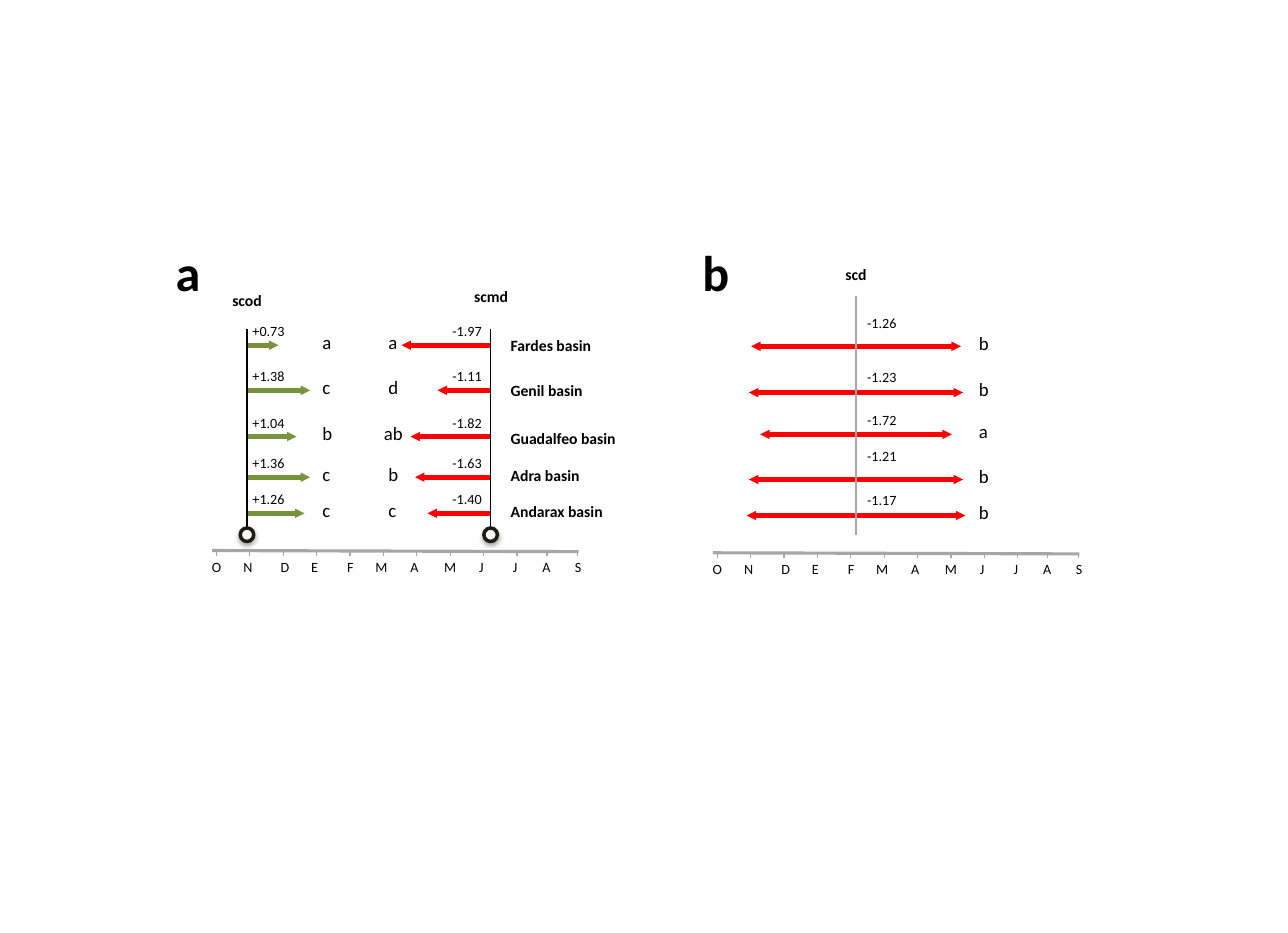
from lxml import etree
from pptx import Presentation
from pptx.dml.color import RGBColor
from pptx.enum.shapes import MSO_CONNECTOR, MSO_SHAPE
from pptx.enum.text import MSO_AUTO_SIZE, PP_ALIGN
from pptx.oxml.ns import qn
from pptx.util import Inches, Pt

STRAIGHT = MSO_CONNECTOR.STRAIGHT
OVAL = MSO_SHAPE.OVAL
GROW = MSO_AUTO_SIZE.SHAPE_TO_FIT_TEXT
LEFT, CENTER, RIGHT = PP_ALIGN.LEFT, PP_ALIGN.CENTER, PP_ALIGN.RIGHT

BLACK = RGBColor(0x00, 0x00, 0x00)
WHITE = RGBColor(0xFF, 0xFF, 0xFF)
RED = RGBColor(0xFF, 0x00, 0x00)
GREEN = RGBColor(0x77, 0x93, 0x3C)
GRAY = RGBColor(0xA6, 0xA6, 0xA6)
DARK = RGBColor(0x1E, 0x1C, 0x11)

ONSET, MELT, MIDDLE = 2.19, 4.35, 7.59
LETTER_RISE = 0.18
TICK_STEP = 0.296

ONSET_MELT_ROWS = [
    ("Fardes basin", 3.06, 2.93, "+0.73", 2.47, "a", "-1.97", 3.56, "a"),
    ("Genil basin", 3.46, 3.33, "+1.38", 2.75, "c", "-1.11", 3.88, "d"),
    ("Guadalfeo basin", 3.87, 3.75, "+1.04", 2.63, "b", "-1.82", 3.64, "ab"),
    ("Adra basin", 4.23, 4.08, "+1.36", 2.75, "c", "-1.63", 3.68, "b"),
    ("Andarax basin", 4.55, 4.40, "+1.26", 2.70, "c", "-1.40", 3.79, "c"),
]
DURATION_ROWS = [
    (3.07, 2.74, "-1.26", 0.93, "b"),
    (3.48, 3.22, "-1.23", 0.95, "b"),
    (3.85, 3.60, "-1.72", 0.85, "a"),
    (4.25, 3.92, "-1.21", 0.95, "b"),
    (4.57, 4.31, "-1.17", 0.97, "b"),
]
MONTHS = [
    ("O", 1.78, 0.29), ("N", 2.06, 0.29), ("D", 2.39, 0.28), ("E", 2.66, 0.26),
    ("F", 2.98, 0.26), ("M", 3.23, 0.31), ("A", 3.54, 0.27), ("M", 3.84, 0.31),
    ("J", 4.15, 0.24), ("J", 4.45, 0.24), ("A", 4.71, 0.27), ("S", 5.00, 0.26),
]
TICKS = [1.92 + TICK_STEP * month for month in range(10)] + [4.85, 5.12]


def add_text(panel, text, left, top, width, height, size,
             bold=False, align=LEFT, wrap=False):
    box = panel.shapes.add_textbox(Inches(left), Inches(top), Inches(width), Inches(height))
    frame = box.text_frame
    frame.word_wrap = wrap
    frame.auto_size = GROW
    paragraph = frame.paragraphs[0]
    paragraph.alignment = align
    run = paragraph.add_run()
    run.text = text
    run.font.name = "Calibri"
    run.font.size = Pt(size)
    run.font.bold = bold
    run.font.color.rgb = BLACK
    return box


def add_line(panel, start, end, color, weight, arrow_ends=()):
    line = panel.shapes.add_connector(
        STRAIGHT, Inches(start[0]), Inches(start[1]), Inches(end[0]), Inches(end[1]))
    line.line.color.rgb = color
    line.line.width = Pt(weight)
    for arrow_end in arrow_ends:
        etree.SubElement(line.line._get_or_add_ln(), qn(f"a:{arrow_end}"),
                         type="triangle", w="sm", len="sm")
    etree.SubElement(line._element.spPr, qn("a:effectLst"))


presentation = Presentation()
presentation.slide_width = Inches(11.42)
presentation.slide_height = Inches(8.27)
slide = presentation.slides.add_slide(presentation.slide_layouts[6])
panel_a = slide.shapes.add_group_shape()
panel_b = slide.shapes.add_group_shape()

for panel, letter, letter_left, shift, axis in [
    (panel_a, "a", 1.46, 0, 4.88),
    (panel_b, "b", 6.13, 4.44, 4.90),
]:
    add_text(panel, letter, letter_left, 2.09, 0.43, 0.64, 32, bold=True)
    add_line(panel, (1.88 + shift, axis), (5.13 + shift, axis + 0.01), GRAY, 2)
    for tick, (month, left, width) in zip(TICKS, MONTHS):
        add_line(panel, (tick + shift, axis + 0.05), (tick + shift, axis), GRAY, 0.75)
        add_text(panel, month, left + shift, axis + 0.02, width, 0.25, 9)

onset_title = add_text(panel_a, "scod", 1.88, 2.53, 0.62, 0.27, 10, True, CENTER, True)
onset_title.fill.solid()
onset_title.fill.fore_color.rgb = WHITE
add_text(panel_a, "scmd", 3.69, 2.49, 1.33, 0.27, 10, True, CENTER, True)

for name, row, name_top, delay, delay_end, delay_group, advance, advance_end, advance_group in ONSET_MELT_ROWS:
    add_line(panel_a, (ONSET + 0.01, row), (delay_end, row), GREEN, 3, ["tailEnd"])
    add_line(panel_a, (advance_end, row), (MELT, row), RED, 3, ["headEnd"])
    add_text(panel_a, delay, 2.14, row - 0.25, 0.49, 0.25, 9)
    add_text(panel_a, advance, 3.91, row - 0.25, 0.46, 0.25, 9, align=RIGHT)
    add_text(panel_a, name, 4.43, name_top, 1.62, 0.27, 10, bold=True, wrap=True)
    add_text(panel_a, delay_group, 2.76, row - LETTER_RISE, 0.28, 0.3, 12)
    group_width = 0.21 + 0.08 * len(advance_group)
    add_text(panel_a, advance_group, 3.49 - group_width / 2, row - LETTER_RISE,
             group_width, 0.3, 12)

for date in (ONSET, MELT):
    add_line(panel_a, (date, 2.92), (date, 4.74), BLACK, 0.75, ["tailEnd"])
    marker = panel_a.shapes.add_shape(
        OVAL, Inches(date - 0.06), Inches(4.68), Inches(0.12), Inches(0.12))
    marker.fill.solid()
    marker.fill.fore_color.rgb = WHITE
    marker.line.color.rgb = DARK
    marker.line.width = Pt(2.25)
    marker.shadow.inherit = False
    effects = marker._element.spPr.find(qn("a:effectLst"))
    shadow = etree.SubElement(effects, qn("a:outerShdw"), blurRad=str(Pt(3.1)),
                              dist=str(Pt(1.8)), dir="5400000", rotWithShape="0")
    shadow_color = etree.SubElement(shadow, qn("a:srgbClr"), val=str(BLACK))
    etree.SubElement(shadow_color, qn("a:alpha"), val="35000")

add_text(panel_b, "scd", 6.78, 2.30, 1.62, 0.27, 10, True, CENTER, True)
for row, value_top, change, reach, group in DURATION_ROWS:
    add_line(panel_b, (MIDDLE - reach, row), (MIDDLE + reach, row), RED, 3,
             ["headEnd", "tailEnd"])
    add_text(panel_b, change, MIDDLE, value_top, 0.46, 0.25, 9)
    add_text(panel_b, group, 8.58, row - LETTER_RISE, 0.29, 0.3, 12)
add_line(panel_b, (MIDDLE, 2.62), (MIDDLE, 4.74), GRAY, 0.75)

presentation.save("out.pptx")
